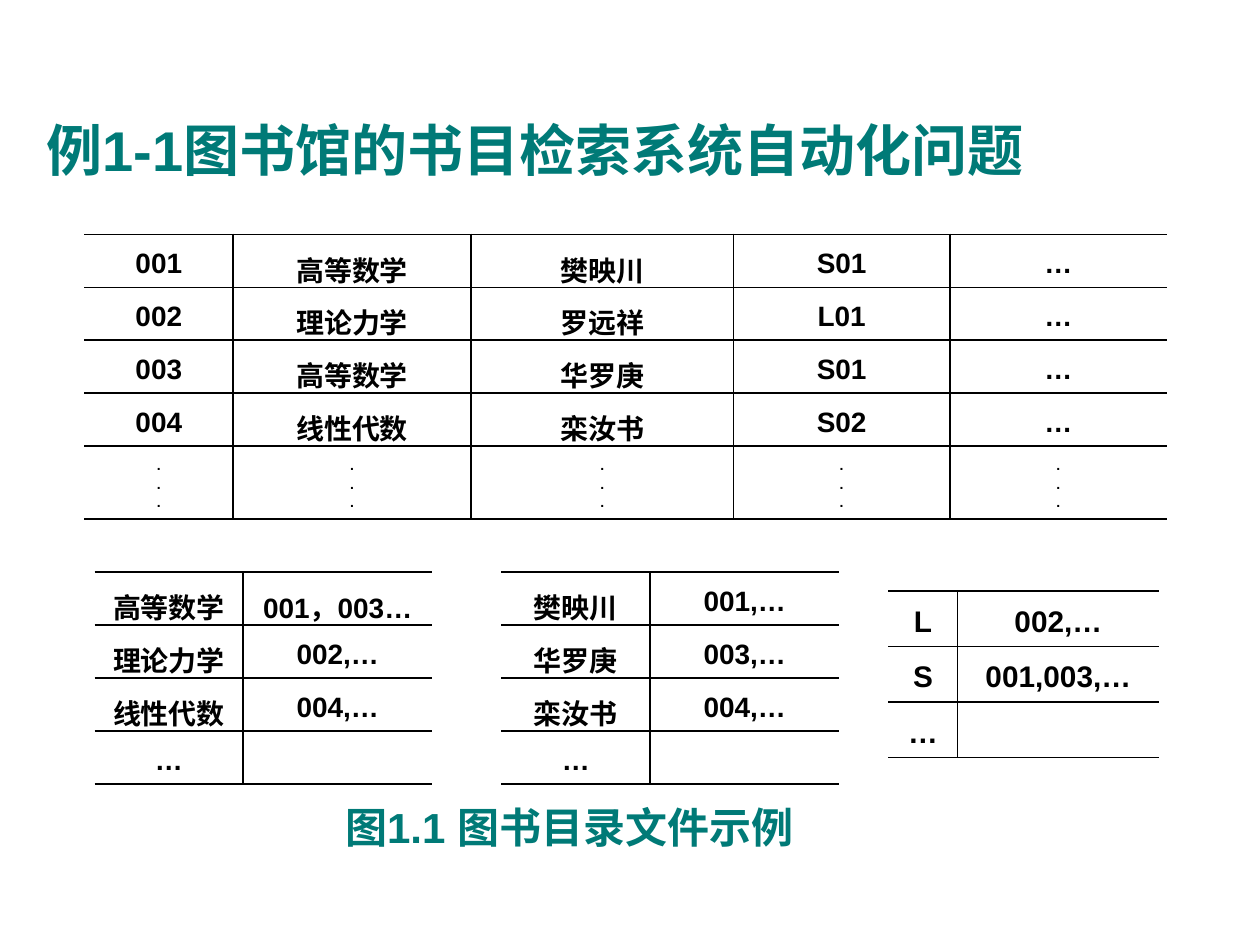
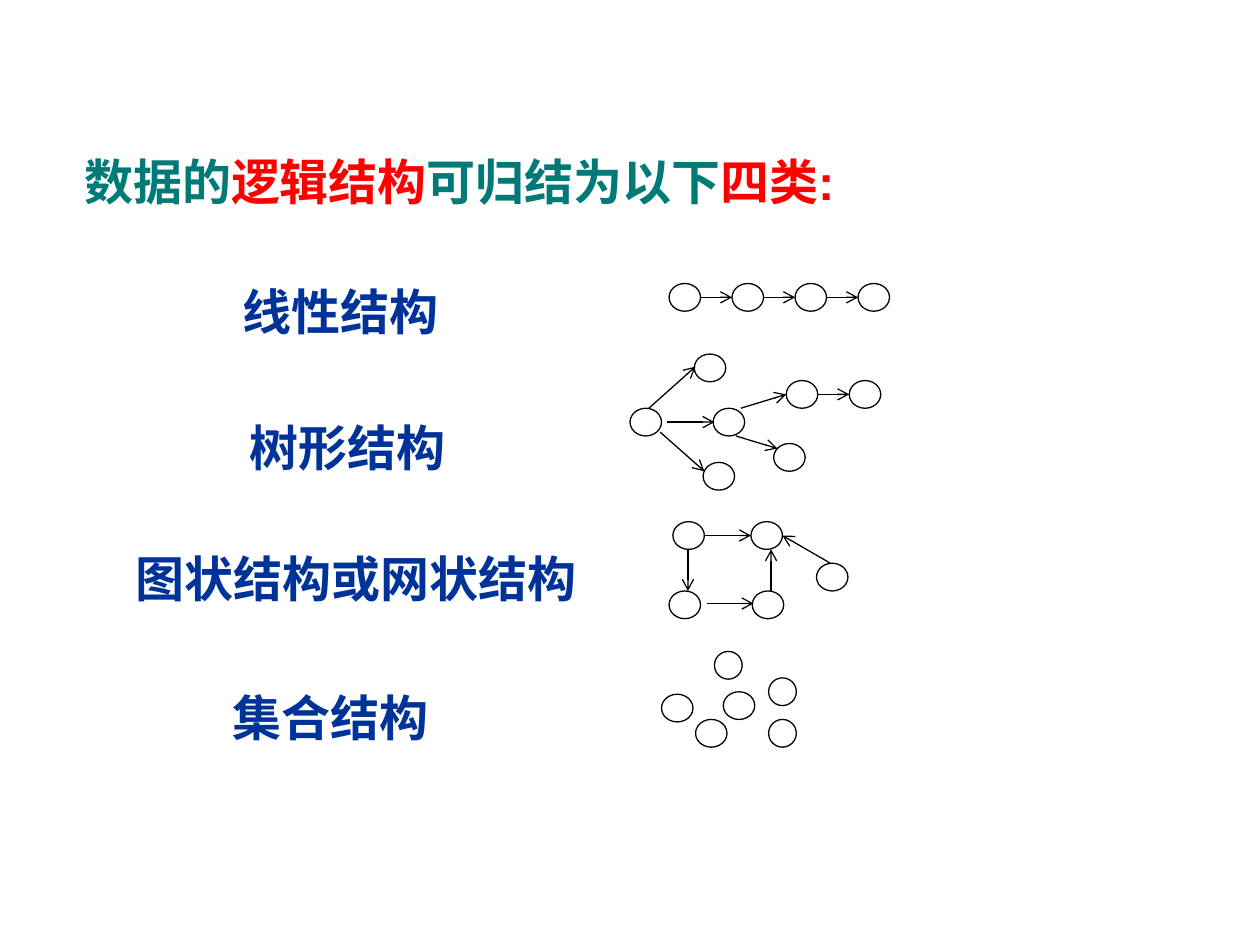
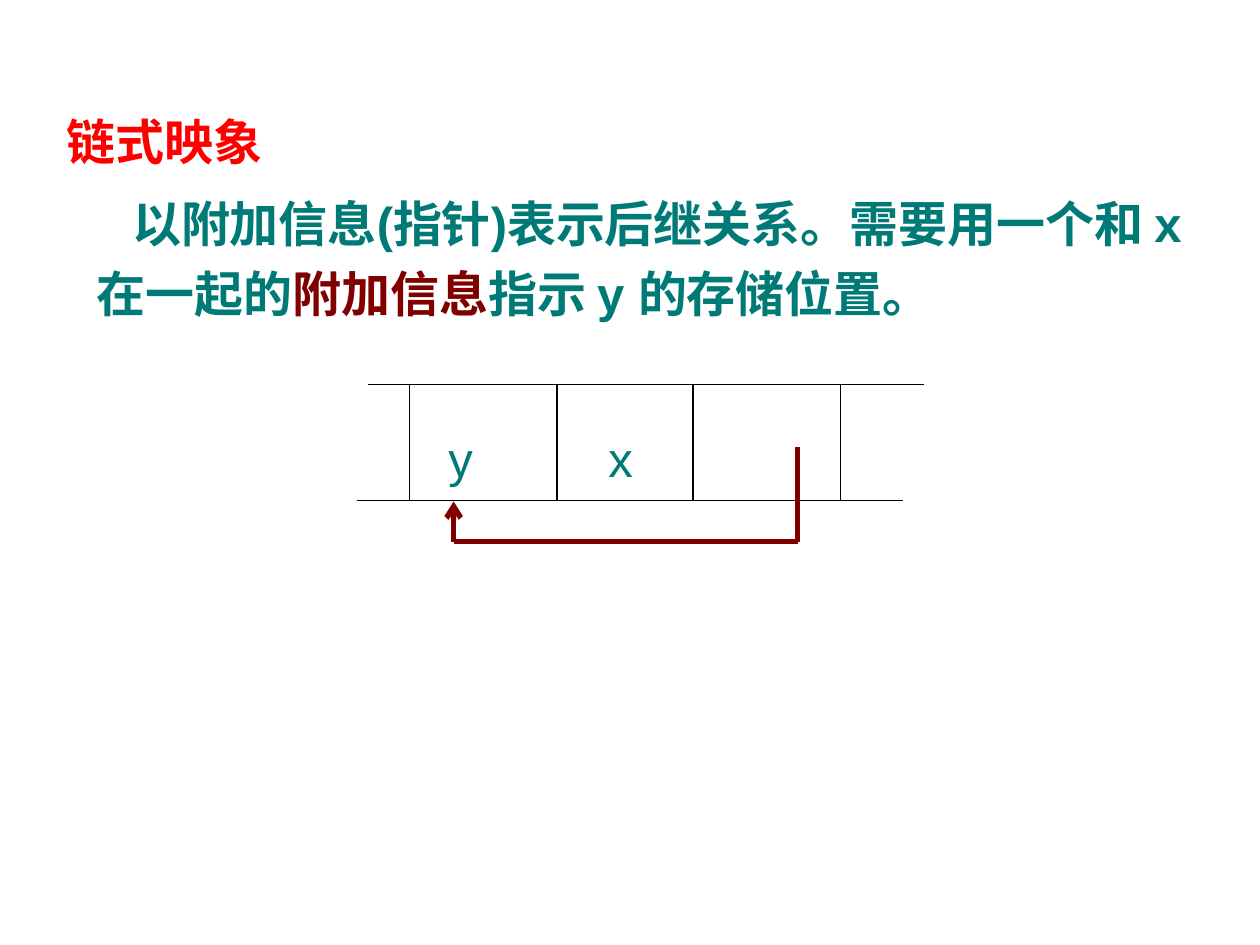
from lxml import etree
from pptx import Presentation
from pptx.dml.color import RGBColor
from pptx.enum.shapes import MSO_CONNECTOR, MSO_SHAPE
from pptx.enum.text import MSO_ANCHOR, MSO_AUTO_SIZE, PP_ALIGN
from pptx.oxml.ns import qn
from pptx.util import Inches, Pt

STRAIGHT = MSO_CONNECTOR.STRAIGHT
ELLIPSE = MSO_SHAPE.OVAL
MIDDLE = MSO_ANCHOR.MIDDLE
CENTER = PP_ALIGN.CENTER
GROW = MSO_AUTO_SIZE.SHAPE_TO_FIT_TEXT

FONT = "Arial"
TEAL, BLUE, RED, MAROON = "007A77", "003399", "FF0000", "800000"
BLACK, WHITE = "000000", "FFFFFF"
LINE_SPACING = 1.2
NODE_WIDTH, NODE_HEIGHT = 0.25, 0.22


def color(value):
    """Turn a hex string into a colour."""
    return RGBColor.from_string(value)


def style_paragraph(paragraph, size, ink, bold=True):
    """Apply the shared font and line spacing to a paragraph."""
    paragraph.line_spacing = LINE_SPACING
    font = paragraph.font
    font.name, font.size, font.bold = FONT, Pt(size), bold
    font.color.rgb = color(ink)


def add_text(slide, left, top, width, height, spans, ink=TEAL, size=28,
             bold=True, wrap=True, indent=0):
    """Add a text box from (text, colour) spans; None keeps the box colour."""
    box = slide.shapes.add_textbox(Inches(left), Inches(top), Inches(width), Inches(height))
    frame = box.text_frame
    frame.word_wrap = wrap
    frame.auto_size = GROW
    paragraph = frame.paragraphs[0]
    if indent:
        paragraph._p.get_or_add_pPr().set("indent", str(Inches(indent)))
    style_paragraph(paragraph, size, ink, bold)
    for text, span_ink in spans:
        span = paragraph.add_run()
        span.text = text
        if span_ink:
            span.font.color.rgb = color(span_ink)


def set_border(cell, side, visible):
    """Draw or hide one side of a cell."""
    border = etree.SubElement(cell._tc.get_or_add_tcPr(), qn(f"a:ln{side}"), w=str(Pt(1)))
    if visible:
        fill = etree.SubElement(border, qn("a:solidFill"))
        etree.SubElement(fill, qn("a:srgbClr"), val=BLACK)
    else:
        etree.SubElement(border, qn("a:noFill"))


def add_open_table(slide, left, top, widths, heights, rows, size=16):
    """Add a ruled table that is open on its left and right."""
    frame = slide.shapes.add_table(len(rows), len(widths), Inches(left), Inches(top),
                                   Inches(sum(widths)), Inches(sum(heights)))
    table = frame.table
    table.first_row = table.horz_banding = False
    for column, width in zip(table.columns, widths):
        column.width = Inches(width)
    for row, height in zip(table.rows, heights):
        row.height = Inches(height)
    last = len(widths) - 1
    for row_index, row in enumerate(rows):
        for column_index, text in enumerate(row):
            cell = table.cell(row_index, column_index)
            set_border(cell, "L", column_index > 0)
            set_border(cell, "R", column_index < last)
            set_border(cell, "T", True)
            set_border(cell, "B", True)
            cell.fill.background()
            cell.vertical_anchor = MIDDLE
            cell.text = text
            for paragraph in cell.text_frame.paragraphs:
                paragraph.alignment = CENTER
                style_paragraph(paragraph, 8 if text.startswith(".") else size, BLACK)


def add_line(shapes, start, end, ink=BLACK, width=0.75, arrow=False):
    """Add a straight line, with an optional arrowhead at its end."""
    line = shapes.add_connector(STRAIGHT, *(Inches(value) for value in (*start, *end)))
    line.line.color.rgb = color(ink)
    line.line.width = Pt(width)
    if arrow:
        etree.SubElement(line.line._get_or_add_ln(), qn("a:tailEnd"), type="arrow")
    etree.SubElement(line._element.spPr, qn("a:effectLst"))


def add_node(shapes, left, top, width=NODE_WIDTH):
    """Add one outlined node."""
    node = shapes.add_shape(ELLIPSE, Inches(left), Inches(top),
                            Inches(width), Inches(NODE_HEIGHT))
    node.shadow.inherit = False
    node.fill.solid()
    node.fill.fore_color.rgb = color(WHITE)
    node.line.color.rgb = color(BLACK)
    node.line.width = Pt(0.75)


def add_graph(slide, nodes, arrows=()):
    """Add a group of nodes joined by arrows."""
    shapes = slide.shapes.add_group_shape().shapes
    for node in nodes:
        add_node(shapes, *node)
    for start, end in arrows:
        add_line(shapes, start, end, arrow=True)


def build_catalogue(slide):
    """Build the library catalogue tables."""
    add_text(slide, 0.27, 0.76, 9.53, 0.69, [("例1-1图书馆的书目检索系统自动化问题", None)], size=32)
    books = [
        ("001", "高等数学", "樊映川", "S01", "…"),
        ("002", "理论力学", "罗远祥", "L01", "…"),
        ("003", "高等数学", "华罗庚", "S01", "…"),
        ("004", "线性代数", "栾汝书", "S02", "…"),
        (".\n.\n.",) * 5,
    ]
    add_open_table(slide, 0.67, 1.86, [1.18, 1.89, 2.08, 1.72, 1.72], [0.39] * 4 + [0.57], books)
    titles = [("高等数学", "001，003…"), ("理论力学", "002,…"), ("线性代数", "004,…"), ("…", "")]
    authors = [("樊映川", "001,…"), ("华罗庚", "003,…"), ("栾汝书", "004,…"), ("…", "")]
    for left, index in ((0.75, titles), (3.98, authors)):
        add_open_table(slide, left, 4.54, [1.18, 1.5], [0.39, 0.42, 0.42, 0.39], index)
    classes = [("L", "002,…"), ("S", "001,003,…"), ("…", "")]
    add_open_table(slide, 7.05, 4.69, [0.55, 1.6], [0.42] * 3, classes, size=17)
    add_text(slide, 2.64, 6.23, 4.49, 0.54, [("图1.1 图书目录文件示例", None)], size=24)


def build_structures(slide):
    """Build the four kinds of logical structure."""
    add_text(slide, 0.57, 1.06, 6.22, 0.62,
             [("数据的", None), ("逻辑结构", RED), ("可归结为以下", None), ("四类:", RED)], wrap=False)
    for left, top, width, label in (
        (1.83, 2.09, 3.48, "线性结构"),
        (1.88, 3.17, 3.75, "树形结构"),
        (0.98, 4.21, 4.17, "图状结构或网状结构"),
        (1.75, 5.31, 3.64, "集合结构"),
    ):
        add_text(slide, left, top, width, 0.62, [(label, None)], BLUE)

    chain = [5.31 + 0.5 * step for step in range(4)]
    add_graph(slide, [(left, 2.25) for left in chain],
              [((left + NODE_WIDTH, 2.36), (left + 0.5, 2.36)) for left in chain[:-1]])
    add_graph(
        slide,
        [(5, 3.24), (5.51, 2.81), (5.66, 3.24), (5.58, 3.67),
         (6.24, 3.02), (6.14, 3.52), (6.74, 3.02)],
        [((5.29, 3.35), (5.67, 3.35)), ((5.15, 3.24), (5.52, 2.91)),
         ((5.24, 3.43), (5.59, 3.74)), ((5.88, 3.24), (6.24, 3.13)),
         ((5.84, 3.46), (6.17, 3.56)), ((6.49, 3.13), (6.74, 3.13))],
    )
    add_graph(
        slide,
        [(5.31, 4.69), (5.34, 4.14), (5.97, 4.69), (5.96, 4.14), (6.48, 4.47)],
        [((5.61, 4.79), (5.98, 4.79)), ((5.59, 4.25), (5.96, 4.25)),
         ((5.46, 4.36), (5.46, 4.69)), ((6.12, 4.69), (6.12, 4.36)),
         ((6.59, 4.47), (6.21, 4.25))],
    )
    add_graph(slide, [(5.74, 5.49), (5.52, 5.71), (5.25, 5.51),
                      (6.1, 5.71, 0.22), (6.1, 5.38, 0.22), (5.67, 5.17, 0.22)])


def build_linked_mapping(slide):
    """Build the linked storage mapping with its pointer."""
    add_text(slide, 0.43, 0.74, 3.86, 0.62, [("链式映象", None)], RED)
    add_text(slide, 0.67, 1.39, 8.88, 1.18,
             [("以附加信息(指针)表示后继关系。需要用一个和 x 在一起的", None),
              ("附加信息", MAROON), ("指示 y 的存储位置。", None)], indent=0.28)
    for left, name in ((3.46, "y"), (4.73, "x")):
        add_text(slide, left, 3.26, 0.6, 0.61, [(name, None)], bold=False)
    memory_top, memory_bottom = 3.05, 3.97
    add_line(slide.shapes, (2.92, memory_top), (7.33, memory_top))
    add_line(slide.shapes, (2.83, memory_bottom), (7.17, memory_bottom))
    for wall in (3.25, 4.42, 5.5, 6.67):
        add_line(slide.shapes, (wall, memory_top), (wall, memory_bottom))
    pointer = [(6.33, 3.55), (6.33, 4.3), (3.6, 4.3), (3.6, 3.98)]
    for start, end in zip(pointer, pointer[1:]):
        add_line(slide.shapes, start, end, MAROON, 3, arrow=end == pointer[-1])


def main():
    """Build and save the deck."""
    deck = Presentation()
    deck.slide_width, deck.slide_height = Inches(10), Inches(7.5)
    for build in (build_catalogue, build_structures, build_linked_mapping):
        build(deck.slides.add_slide(deck.slide_layouts[6]))
    deck.save("out.pptx")


if __name__ == "__main__":
    main()
